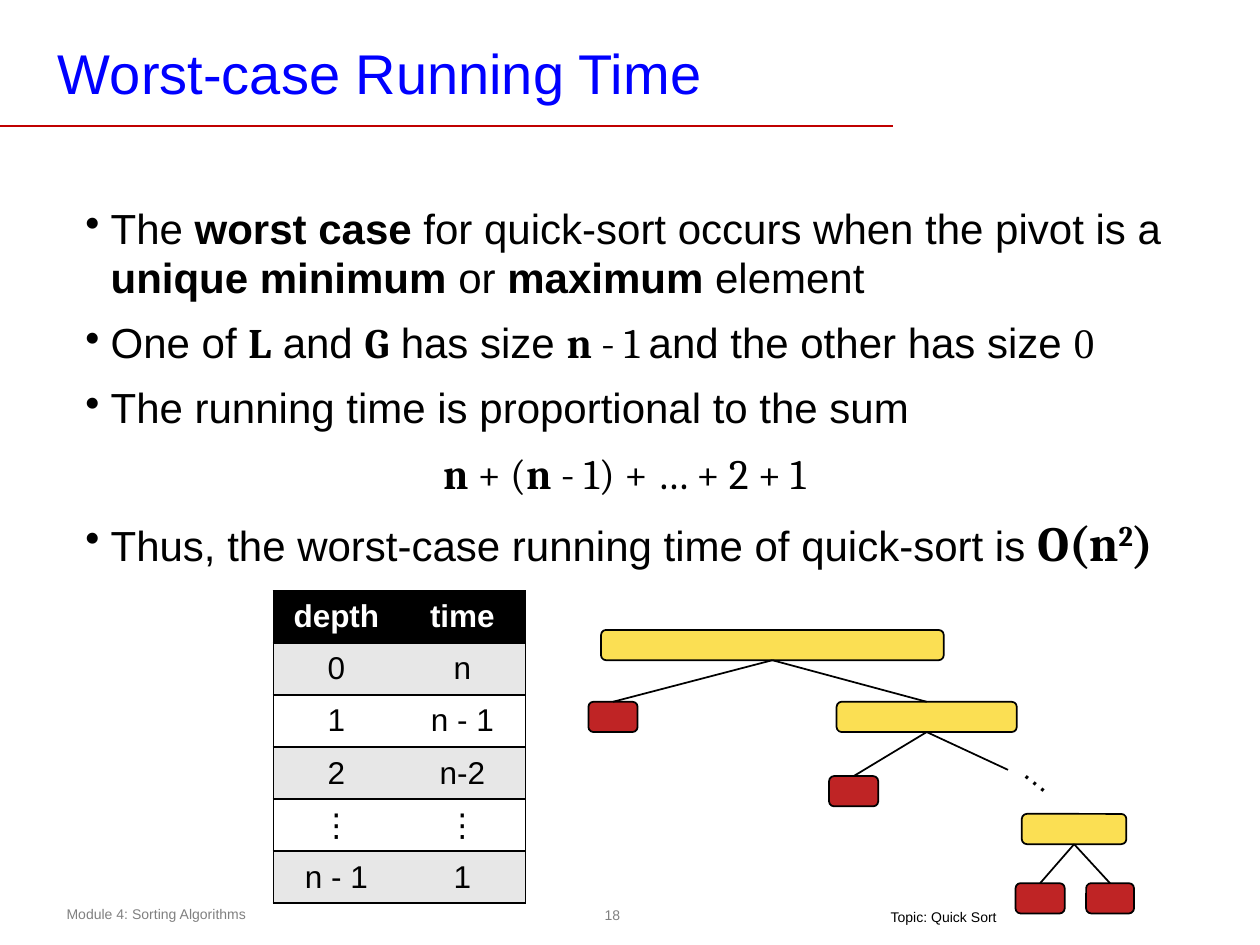
import pptx
import pptx.util
import pptx.dml.color
import pptx.enum.shapes
import pptx.enum.text
import pptx.oxml
import pptx.oxml.ns

Inches, Pt = pptx.util.Inches, pptx.util.Pt
ALIGN = pptx.enum.text.PP_ALIGN
ANCHOR = pptx.enum.text.MSO_ANCHOR
BLACK, WHITE, GRAY = "000000", "FFFFFF", "808080"
YELLOW, RED, STRIPE = "FBDF53", "BF2425", "E7E7E7"

SERIF = {"font": "Cambria"}
BOLD = {"bold": True}
MATH = {**SERIF, **BOLD}
RESULT = {**MATH, "size": 28}

BODY = [
    (True, [("The ", {}), ("worst case ", BOLD),
            ("for quick-sort occurs when the pivot is a ", {}),
            ("unique minimum ", BOLD), ("or ", {}), ("maximum ", BOLD), ("element", {})]),
    (True, [("One of ", {}), ("L", MATH), (" and ", {}), ("G", MATH), (" has size ", {}),
            ("n ", MATH), ("- 1 ", SERIF), ("and the other has size ", {}),
            ("0", {"font": "Times New Roman"})]),
    (True, [("The running time is proportional to the sum", {})]),
    (False, [("n", MATH), (" + (", SERIF), ("n", MATH), (" - 1) + … + 2 + 1", SERIF)]),
    (True, [("Thus, the worst-case running time of quick-sort is ", {}),
            ("O(n", RESULT), ("2", {**RESULT, "baseline": 30}), (")", RESULT)]),
]

ROWS = [("depth", "time"), ("0", "n"), ("1", "n - 1"), ("2", "n-2"), ("⋮", "⋮"), ("n - 1", "1")]

NODES = {
    "root": (4.77, 5, 2.72, YELLOW),
    "left": (4.67, 5.57, 0.39, RED),
    "right": (6.64, 5.57, 1.43, YELLOW),
    "right_left": (6.58, 6.16, 0.39, RED),
    "last": (8.11, 6.46, 0.83, YELLOW),
    "last_left": (8.06, 7.01, 0.39, RED),
    "last_right": (8.62, 7.01, 0.38, RED),
}
EDGES = [("root", "left"), ("root", "right"), ("right", "right_left"),
         ("last", "last_left"), ("last", "last_right")]


def rgb(color):
    """Turn a hex string into a colour."""
    return pptx.dml.color.RGBColor.from_string(color)


def add_run(p, text, size=24, font="Arial", color=BLACK, bold=False, baseline=0):
    """Add a formatted run to a paragraph."""
    r = p.add_run()
    r.text = text
    r.font.size, r.font.name, r.font.bold = Pt(size), font, bold
    r.font.color.rgb = rgb(color)
    if baseline:
        r._r.get_or_add_rPr().set("baseline", str(baseline * 1000))


def add_box(s, at, insets=(0.1, 0.05, 0.1, 0.05), wrap=True, anchor=ANCHOR.TOP):
    """Add an empty text box and return its shape."""
    sp = s.shapes.add_textbox(*map(Inches, at))
    tf = sp.text_frame
    tf.margin_left, tf.margin_top, tf.margin_right, tf.margin_bottom = map(Inches, insets)
    tf.word_wrap, tf.vertical_anchor = wrap, anchor
    return sp


def add_label(s, text, at, align=ALIGN.LEFT, box=None, **fmt):
    """Add a text box with one line of text."""
    sp = add_box(s, at, **(box or {}))
    p = sp.text_frame.paragraphs[0]
    p.alignment = align
    add_run(p, text, **fmt)
    return sp


def add_body(s):
    """Add the bulleted text."""
    tf = add_box(s, (0.58, 1.58, 8.75, 2.5)).text_frame
    for i, (bulleted, runs) in enumerate(BODY):
        p = tf.add_paragraph() if i else tf.paragraphs[0]
        p.line_spacing = 0.97
        if i:
            p.space_before = Pt(9.4)
        pPr = p._p.get_or_add_pPr()
        pPr.set("marL", str(Inches(0.2)))
        pPr.set("indent", str(Inches(-0.2)))
        if bulleted:
            bullet = pptx.oxml.ns.qn("a:buChar")
            pPr.append(pPr.makeelement(bullet, {"char": "•"}))
        else:
            p.alignment = ALIGN.CENTER
        for text, fmt in runs:
            add_run(p, text, **fmt)


def add_line(s, start, end, color=BLACK):
    """Add a thin straight line without a shadow."""
    kind = pptx.enum.shapes.MSO_CONNECTOR.STRAIGHT
    line = s.shapes.add_connector(kind, *map(Inches, start + end))
    line.line.color.rgb, line.line.width = rgb(color), Pt(1)
    spPr = line._element.spPr
    spPr.append(spPr.makeelement(pptx.oxml.ns.qn("a:effectLst"), {}))
    return line


def add_node(s, left, top, width, color):
    """Add a rounded tree node."""
    kind = pptx.enum.shapes.MSO_SHAPE.ROUNDED_RECTANGLE
    sp = s.shapes.add_shape(kind, *map(Inches, (left, top, width, 0.24)))
    sp.shadow.inherit = False
    sp.fill.solid()
    sp.fill.fore_color.rgb = rgb(color)
    sp.line.color.rgb, sp.line.width = rgb(BLACK), Pt(1)
    return sp


def add_tree(s):
    """Add the recursion tree."""
    nodes = {name: add_node(s, *node) for name, node in NODES.items()}
    for parent, child in EDGES:
        line = add_line(s, (0, 0), (1, 1))
        line.begin_connect(nodes[parent], 2)
        line.end_connect(nodes[child], 0)
    line = add_line(s, (7.35, 5.81), (8, 6.11))
    line.begin_connect(nodes["right"], 2)
    add_label(s, "…", (8.01, 5.95, 0.47, 0.5), box={"wrap": False}, size=18).rotation = 38.4


def set_borders(cell, sides):
    """Draw the named cell sides in black and leave the others out."""
    tcPr = cell._tc.get_or_add_tcPr()
    ns = pptx.oxml.ns.nsdecls("a")
    for i, side in enumerate("LRTB"):
        paint = f'<a:solidFill><a:srgbClr val="{BLACK}"/></a:solidFill>' if side in sides else "<a:noFill/>"
        tcPr.insert(i, pptx.oxml.parse_xml(f'<a:ln{side} {ns} w="12700">{paint}</a:ln{side}>'))


def add_times(s):
    """Add the table of time per depth."""
    frame = s.shapes.add_table(len(ROWS), 2, *map(Inches, (2.17, 4.69, 2, 2.48)))
    table = frame.table
    for i, row in enumerate(ROWS):
        for j, text in enumerate(row):
            cell = table.cell(i, j)
            cell.margin_left = cell.margin_right = cell.margin_top = cell.margin_bottom = 0
            cell.vertical_anchor = ANCHOR.MIDDLE
            cell.fill.solid()
            cell.fill.fore_color.rgb = rgb(BLACK if i == 0 else STRIPE if i % 2 else WHITE)
            set_borders(cell, "TB" + "LR"[j])
            p = cell.text_frame.paragraphs[0]
            p.alignment = ALIGN.CENTER
            add_run(p, text, size=18, color=WHITE if i == 0 else BLACK, bold=i == 0)


def main():
    """Build and save the slide."""
    prs = pptx.Presentation()
    prs.slide_width, prs.slide_height = Inches(10), Inches(7.5)
    s = prs.slides.add_slide(prs.slide_layouts[6])
    add_label(s, "18", (4.74, 7.13, 0.24, 0.26), ALIGN.CENTER, size=8, color=GRAY,
              box={"insets": (0.04,) * 4, "wrap": False, "anchor": ANCHOR.MIDDLE})
    add_label(s, "Module 4: Sorting Algorithms", (0.43, 7.14, 3.64, 0.24), size=8, color=GRAY)
    add_line(s, (0, 1), (7.09, 1), "C00000")
    add_label(s, "Worst-case Running Time", (0.39, 0.28, 7.42, 0.6), size=32, color="0000FF",
              box={"insets": (0.07, 0.03, 0.07, 0.03)})
    add_body(s)
    add_tree(s)
    add_times(s)
    add_label(s, "Topic: Quick Sort", (6.97, 7.21, 1.06, 0.17), size=8,
              box={"insets": (0.1, 0, 0.1, 0.04), "wrap": False})
    prs.save("out.pptx")


if __name__ == "__main__":
    main()
